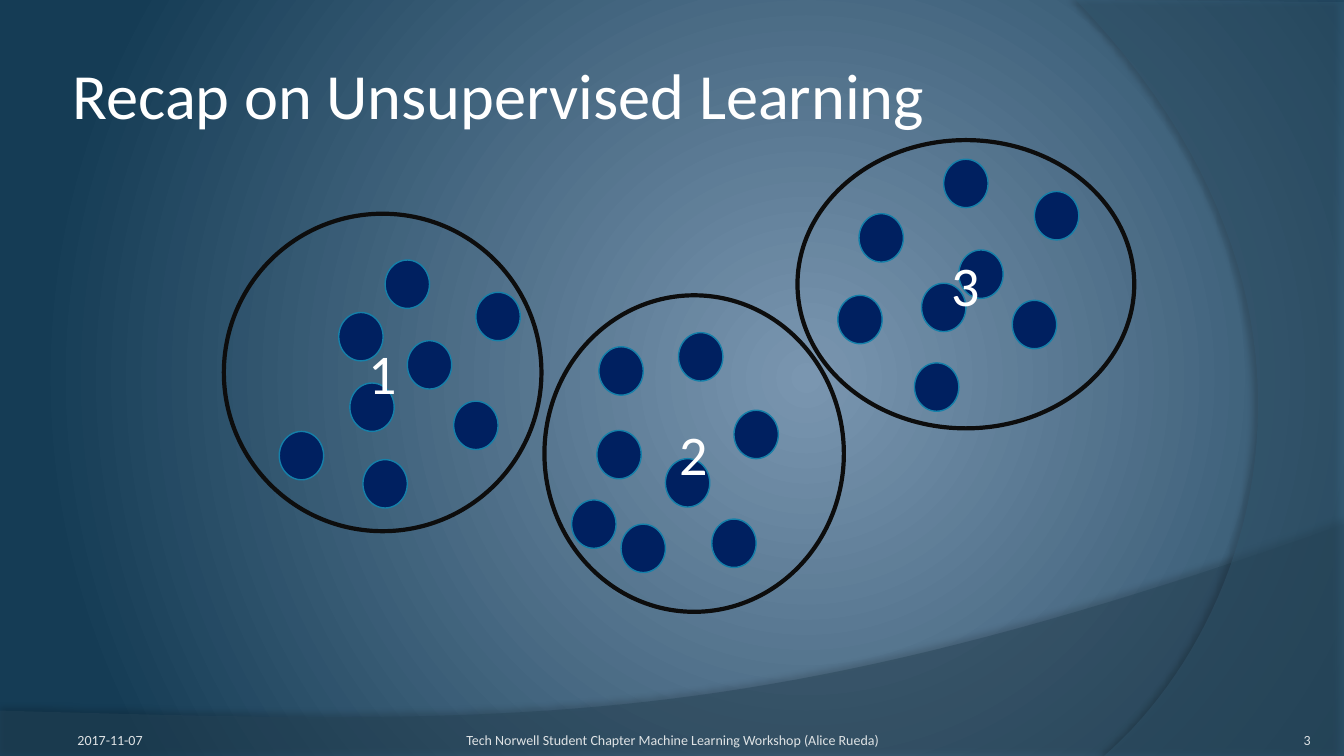
from lxml import etree
from pptx import Presentation
from pptx import util as u
from pptx.dml.color import RGBColor
from pptx.enum import shapes, text
from pptx.oxml import ns

LEFT, MID, RIGHT = text.PP_ALIGN.LEFT, text.PP_ALIGN.CENTER, text.PP_ALIGN.RIGHT
CLUSTERS = [
    ("3", (7.91, 1.39, 3.34, 2.86),
     [(8.52, 2.12), (9.36, 1.58), (9.51, 2.48), (10.26, 1.9),
      (8.31, 2.93), (9.07, 3.6), (10.04, 2.98), (9.14, 2.81)]),
    ("1", (2.22, 2.12, 3.15, 3.15),
     [(3.36, 3.1), (3.82, 2.58), (4.04, 3.38), (4.72, 2.9),
      (2.77, 4.28), (3.6, 4.56), (4.5, 3.98), (3.47, 3.8)]),
    ("2", (5.4, 2.93, 2.97, 3.14),
     [(5.92, 4.27), (5.94, 3.44), (6.6, 4.55), (7.28, 4.07),
      (6.73, 3.3), (6.16, 5.2), (7.06, 5.15), (5.67, 4.96)]),
]


def paint(color, code):
    """Set a colour from a hex string."""
    color.rgb = RGBColor.from_string(code)


def node(parent, tag, **attrs):
    """Append a DrawingML element."""
    return etree.SubElement(parent, ns.qn("a:" + tag), {k: str(v) for k, v in attrs.items()})


def backdrop(slide, inner, outer):
    """Fill the background with a round gradient."""
    fill = slide.background.fill
    fill.gradient()
    for stop, code in zip(fill.gradient_stops, (inner, outer)):
        paint(stop.color, code)
    grad = slide.element.xpath(".//a:gradFill")[0]
    grad.remove(grad.find(ns.qn("a:lin")))
    rim = node(grad, "path", path="circle")
    node(rim, "fillToRect", l=60000, t=50000, r=40000, b=50000)


def curve(a, b, c, d, steps=48):
    """Return points along a cubic curve."""
    pts = []
    for i in range(steps + 1):
        t = i / steps
        s = 1 - t
        pts.append(tuple(s**3 * p + 3 * s * s * t * q + 3 * s * t * t * r + t**3 * e
                         for p, q, r, e in zip(a, b, c, d)))
    return pts


def wave(slide, pts, code, alpha, shade, dist, angle):
    """Draw a translucent shadowed outline."""
    pts = [(u.Inches(x), u.Inches(y)) for x, y in pts]
    form = slide.shapes.build_freeform(*pts[0])
    form.add_line_segments(pts[1:], close=True)
    shape = form.convert_to_shape()
    shape.fill.solid()
    paint(shape.fill.fore_color, code)
    shape.line.fill.background()
    shape.shadow.inherit = False
    tone = shape.element.spPr.xpath("./a:solidFill/a:srgbClr")[0]
    node(tone, "alpha", val=alpha * 1000)
    effect = shape.element.spPr.find(ns.qn("a:effectLst"))
    cast = node(effect, "outerShdw", blurRad=u.Pt(4), dist=u.Pt(dist),
                dir=angle * 60000, algn="ctr", rotWithShape=0)
    node(node(cast, "srgbClr", val="000000"), "alpha", val=shade * 1000)


def write(frame, words, size, code, align):
    """Put one run in a text frame."""
    frame.word_wrap = True
    para = frame.paragraphs[0]
    para.alignment = align
    run = para.add_run()
    run.text = words
    run.font.name = "Calibri"
    run.font.size = u.Pt(size)
    paint(run.font.color, code)


def label(slide, box, words, size, code, align, anchor, pads):
    """Add a text box."""
    frame = slide.shapes.add_textbox(*map(u.Inches, box)).text_frame
    frame.vertical_anchor = anchor
    (frame.margin_left, frame.margin_top,
     frame.margin_right, frame.margin_bottom) = map(u.Inches, pads)
    write(frame, words, size, code, align)


def oval(slide, box, edge, width, fill=None):
    """Add an ellipse, hollow unless a fill is given."""
    shape = slide.shapes.add_shape(shapes.MSO_SHAPE.OVAL, *map(u.Inches, box))
    shape.shadow.inherit = False
    if fill:
        shape.fill.solid()
        paint(shape.fill.fore_color, fill)
    else:
        shape.fill.background()
    paint(shape.line.color, edge)
    shape.line.width = u.Pt(width)
    return shape


def main():
    """Build the slide."""
    deck = Presentation()
    deck.slide_width, deck.slide_height = u.Inches(13.33), u.Inches(7.5)
    slide = deck.slides.add_slide(deck.slide_layouts[6])
    backdrop(slide, "7A96B0", "153C55")

    low = curve((13.33, 5.2), (7.45, 7.29), (5.21, 7.19), (0, 7.05))
    wave(slide, [(0, 7.51), (13.33, 7.51)] + low, "264457", 45, 35, 3.5, 270)
    side = curve((10.95, 7.5), (12.46, 6.19), (13.57, 3), (10.67, 0))
    wave(slide, [(13.33, 0.02), (13.33, 7.5)] + side, "335B74", 40, 45, 4, 180)

    base = text.MSO_ANCHOR.BOTTOM
    for left, wide, words, align, pads in [
        (0.67, 3.11, "2017-11-07", LEFT, (0.1, 0.05, 0.1, 0)),
        (11.89, 1.11, "3", RIGHT, (0, 0, 0, 0)),
        (4.56, 4.22, "Tech Norwell Student Chapter Machine Learning Workshop (Alice Rueda)",
         MID, (0, 0.05, 0, 0)),
    ]:
        label(slide, (left, 7.02, wide, 0.4), words, 10, "DFE3E5", align, base, pads)
    label(slide, (0.67, 0.3, 10.89, 1.25), "Recap on Unsupervised Learning", 46,
          "FFFFFF", LEFT, text.MSO_ANCHOR.MIDDLE, (0.05,) * 4)

    for _, _, dots in CLUSTERS:
        for x, y in dots:
            oval(slide, (x, y, 0.44, 0.48), "1580A9", 1, "002060")
    for name, box, _ in CLUSTERS:
        ring = oval(slide, box, "0D0D0D", 3)
        ring.text_frame.vertical_anchor = text.MSO_ANCHOR.MIDDLE
        write(ring.text_frame, name, 40, "FFFFFF", MID)

    deck.save("out.pptx")


if __name__ == "__main__":
    main()
